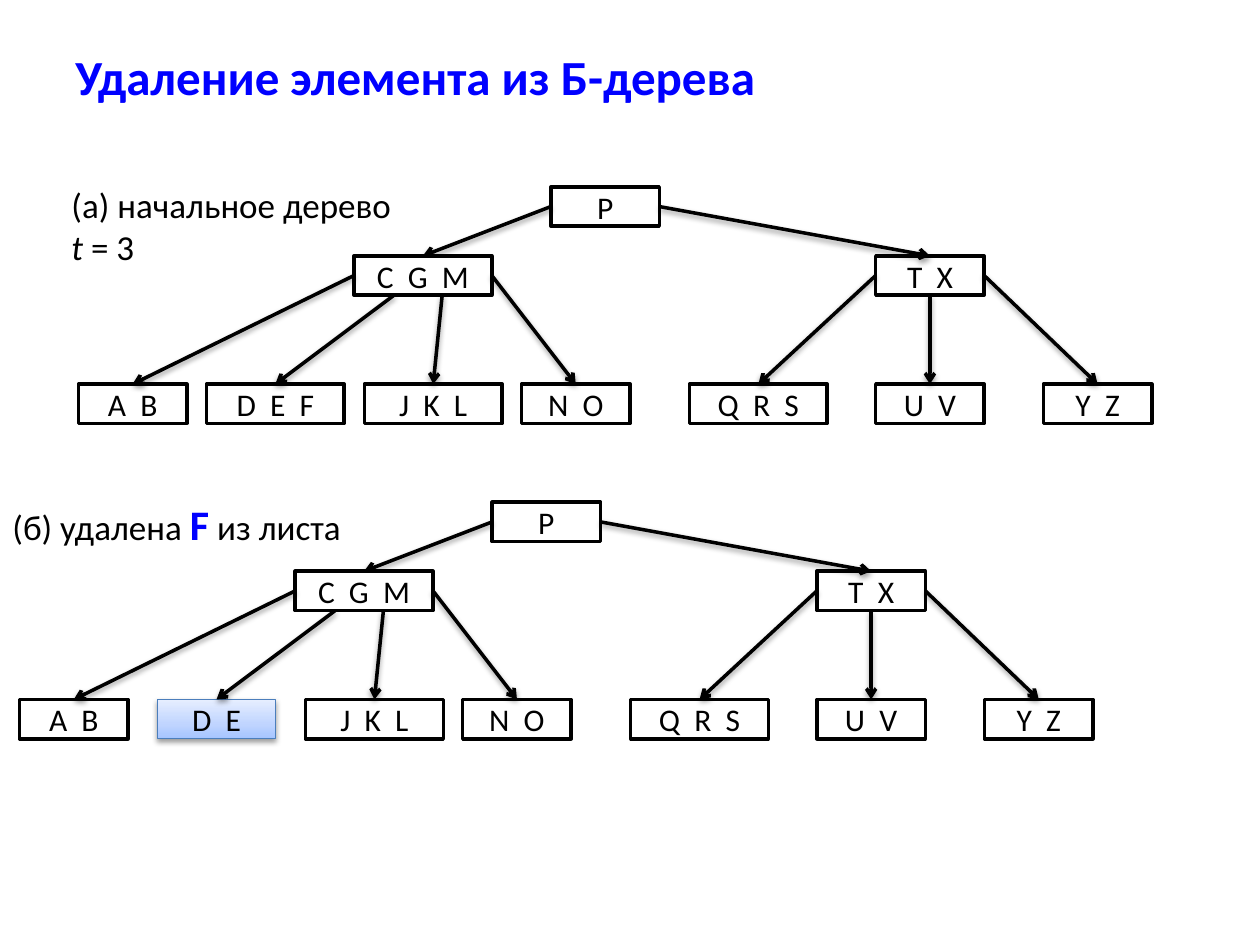
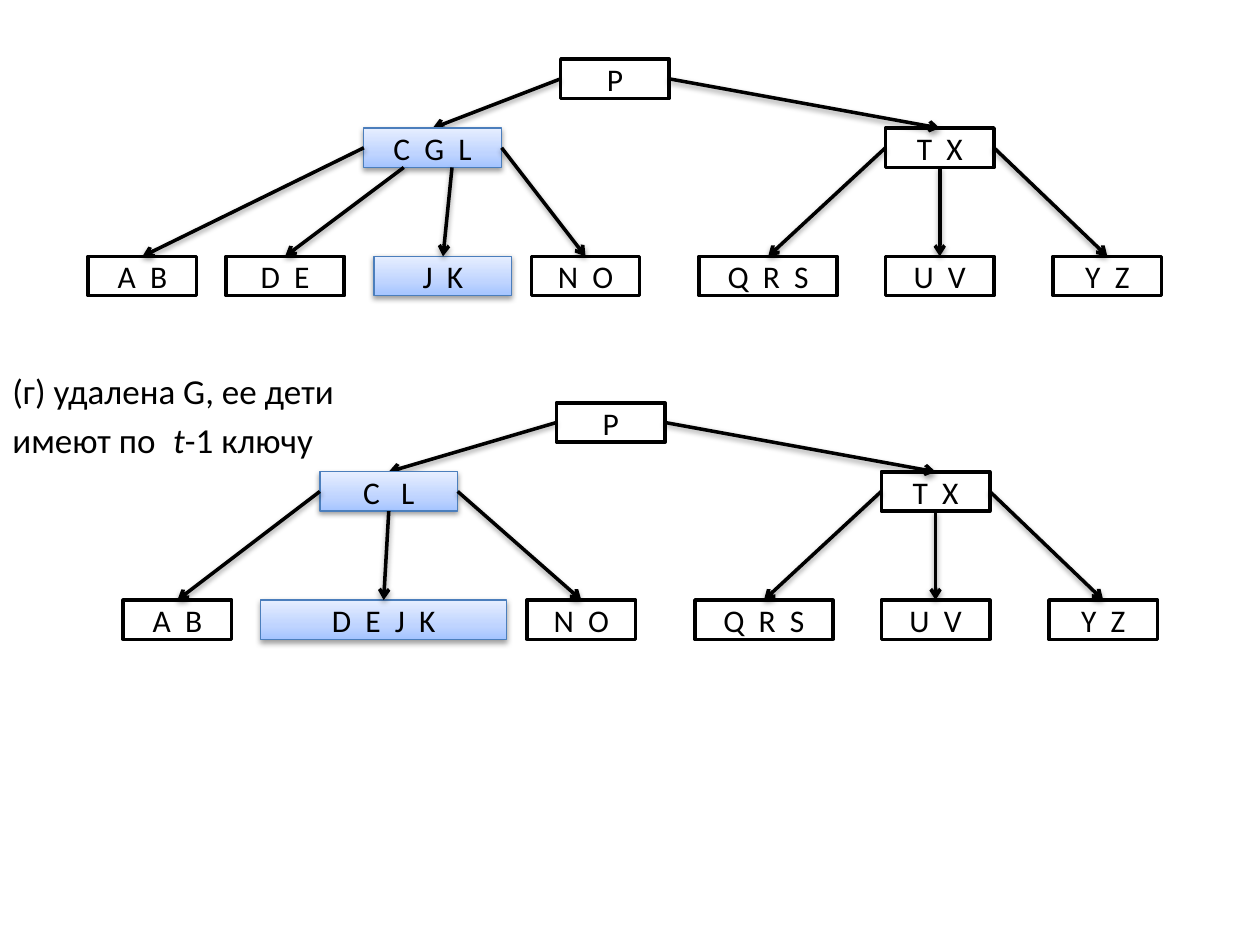
import copy
import dataclasses

import pptx
import pptx.dml.color
import pptx.enum.shapes
import pptx.enum.text
import pptx.oxml
import pptx.oxml.ns
import pptx.util

Pt = pptx.util.Pt
RGBColor = pptx.dml.color.RGBColor
qn = pptx.oxml.ns.qn

BLACK = RGBColor(0, 0, 0)
WHITE = RGBColor(255, 255, 255)
BLUE = RGBColor(0, 0, 255)
EDGE = RGBColor(0x4B, 0x7E, 0xBC)
GLOW = [
    (0, RGBColor(0xA4, 0xC4, 0xFF)),
    (0.35, RGBColor(0xBF, 0xD4, 0xFF)),
    (1, RGBColor(0xE6, 0xEE, 0xFF)),
]

FONT = "Calibri"
SLIM, MID, WIDE, HUGE = 62, 67.5, 78.75, 140.5
HIGH = 22.5
INNER, LEAF = 39.4, 112.7
PORTS = {3: (0, 0.5, 1), 4: (0, 0.29, 0.64, 1)}

NS = pptx.oxml.ns.nsdecls("a")
SHADE = (
    f'<a:outerShdw {NS} blurRad="40000" dist="20000" dir="5400000" rotWithShape="0">'
    '<a:srgbClr val="000000"><a:alpha val="38000"/></a:srgbClr></a:outerShdw>'
)


@dataclasses.dataclass
class Node:
    left: float
    wide: float
    text: str
    lit: bool = False


ROOT = Node(0, SLIM, "P")
EAST = Node(185.6, SLIM, "T  X")
EAST_KIDS = [
    Node(79.2, WIDE, "Q  R  S"),
    Node(185.6, SLIM, "U  V"),
    Node(281.4, SLIM, "Y  Z"),
]
AB = Node(-270, SLIM, "A  B")
JKL = Node(-106.6, WIDE, "J  K  L")
NO = Node(-16.8, SLIM, "N  O")
CGM = Node(-112.5, WIDE, "C  G  M")


class Deck:
    def __init__(self):
        self.show = pptx.Presentation()
        self.show.slide_width = Pt(720)
        self.show.slide_height = Pt(540)
        self.slide = None

    def page(self):
        self.slide = self.show.slides.add_slide(self.show.slide_layouts[6])

    def style(self, run, size, color=BLACK, bold=False, italic=False):
        font = run.font
        font.name = FONT
        font.size = Pt(size)
        font.color.rgb = color
        font.bold = bold
        font.italic = italic

    def label(self, left, top, wide, high, lines, wrap=False):
        box = self.slide.shapes.add_textbox(Pt(left), Pt(top), Pt(wide), Pt(high))
        frame = box.text_frame
        frame.word_wrap = wrap
        for i, line in enumerate(lines):
            para = frame.add_paragraph() if i else frame.paragraphs[0]
            for text, look in line:
                run = para.add_run()
                run.text = text
                self.style(run, **{"size": 20, **look})
        return frame

    def title(self, text):
        look = {"size": 28, "color": BLUE, "bold": True}
        frame = self.label(36, 21.6, 622, 44, [[(text, look)]], wrap=True)
        frame.vertical_anchor = pptx.enum.text.MSO_ANCHOR.MIDDLE

    def glow(self, shape):
        shape.fill.gradient()
        shape.fill.gradient_angle = 90
        stops = shape.element.spPr.find(".//" + qn("a:gsLst"))
        stops.append(copy.deepcopy(stops[0]))
        for stop, (place, color) in zip(shape.fill.gradient_stops, GLOW):
            stop.position = place
            stop.color.rgb = color
        shape.element.spPr.find(qn("a:effectLst")).append(pptx.oxml.parse_xml(SHADE))

    def box(self, x, y, node):
        kind = pptx.enum.shapes.MSO_SHAPE.RECTANGLE
        shape = self.slide.shapes.add_shape(
            kind, Pt(x + node.left), Pt(y), Pt(node.wide), Pt(HIGH)
        )
        shape.shadow.inherit = False
        if node.lit:
            self.glow(shape)
        else:
            shape.fill.solid()
            shape.fill.fore_color.rgb = WHITE
        shape.line.color.rgb = EDGE if node.lit else BLACK
        shape.line.width = Pt(0.75 if node.lit else 2)
        frame = shape.text_frame
        frame.margin_top = frame.margin_bottom = 0
        frame.vertical_anchor = pptx.enum.text.MSO_ANCHOR.MIDDLE
        frame.text = node.text
        para = frame.paragraphs[0]
        para.alignment = pptx.enum.text.PP_ALIGN.CENTER
        self.style(para.runs[0], 18)

    def link(self, x, top, node, port, low, kid):
        drop = HIGH / 2 if port in (0, 1) else HIGH
        line = self.slide.shapes.add_connector(
            pptx.enum.shapes.MSO_CONNECTOR.STRAIGHT,
            Pt(x + node.left + port * node.wide),
            Pt(top + drop),
            Pt(x + kid.left + kid.wide / 2),
            Pt(low),
        )
        line.line.color.rgb = BLACK
        line.line.width = Pt(2)
        props = line.element.spPr
        props.find(qn("a:ln")).append(pptx.oxml.parse_xml(f'<a:tailEnd {NS} type="arrow"/>'))
        props.append(pptx.oxml.parse_xml(f"<a:effectLst {NS}>{SHADE}</a:effectLst>"))

    def tree(self, x, y, west, kids):
        inner, leaf = y + INNER, y + LEAF
        self.box(x, y, ROOT)
        self.link(x, y, ROOT, 0, inner, west)
        self.box(x, inner, west)
        self.box(x, inner, EAST)
        self.link(x, y, ROOT, 1, inner, EAST)
        for node, brood in ((west, kids), (EAST, EAST_KIDS)):
            for kid in brood:
                self.box(x, leaf, kid)
            for port, kid in zip(PORTS[len(brood)], brood):
                self.link(x, inner, node, port, leaf, kid)


def main():
    deck = Deck()

    deck.page()
    deck.title("Удаление элемента из Б-дерева")
    deck.tree(314.8, 106.8, CGM, [AB, Node(-196.8, WIDE, "D  E  F"), JKL, NO])
    deck.label(33.8, 101.5, 197, 55.4, [
        [("(а) начальное дерево", {})],
        [("t ", {"italic": True}), ("= 3", {})],
    ])
    deck.tree(281.2, 287, CGM, [AB, Node(-191.2, MID, "D  E", True), JKL, NO])
    deck.label(0, 281.5, 207, 36, [[
        ("(б) удалена ", {}),
        ("F", {"size": 24, "color": BLUE, "bold": True}),
        (" из листа", {}),
    ]])

    deck.page()
    deck.tree(320.4, 33.8, Node(-112.5, WIDE, "C  G  L", True), [
        AB,
        Node(-191.2, MID, "D  E"),
        Node(-106.6, WIDE, "J  K", True),
        NO,
    ])
    deck.tree(318, 230.2, Node(-135.2, WIDE, "C   L", True), [
        Node(-247.6, SLIM, "A  B"),
        Node(-169, HUGE, "D  E  J  K", True),
        NO,
    ])
    deck.label(0, 207.4, 199.5, 59.8, [
        [("(г) удалена G, ее дети", {})],
        [
            ("имеют по ", {}),
            (" ", {"size": 24, "color": BLUE}),
            ("t", {"italic": True}),
            ("-1 ключу", {}),
        ],
    ])

    deck.show.save("out.pptx")


if __name__ == "__main__":
    main()
